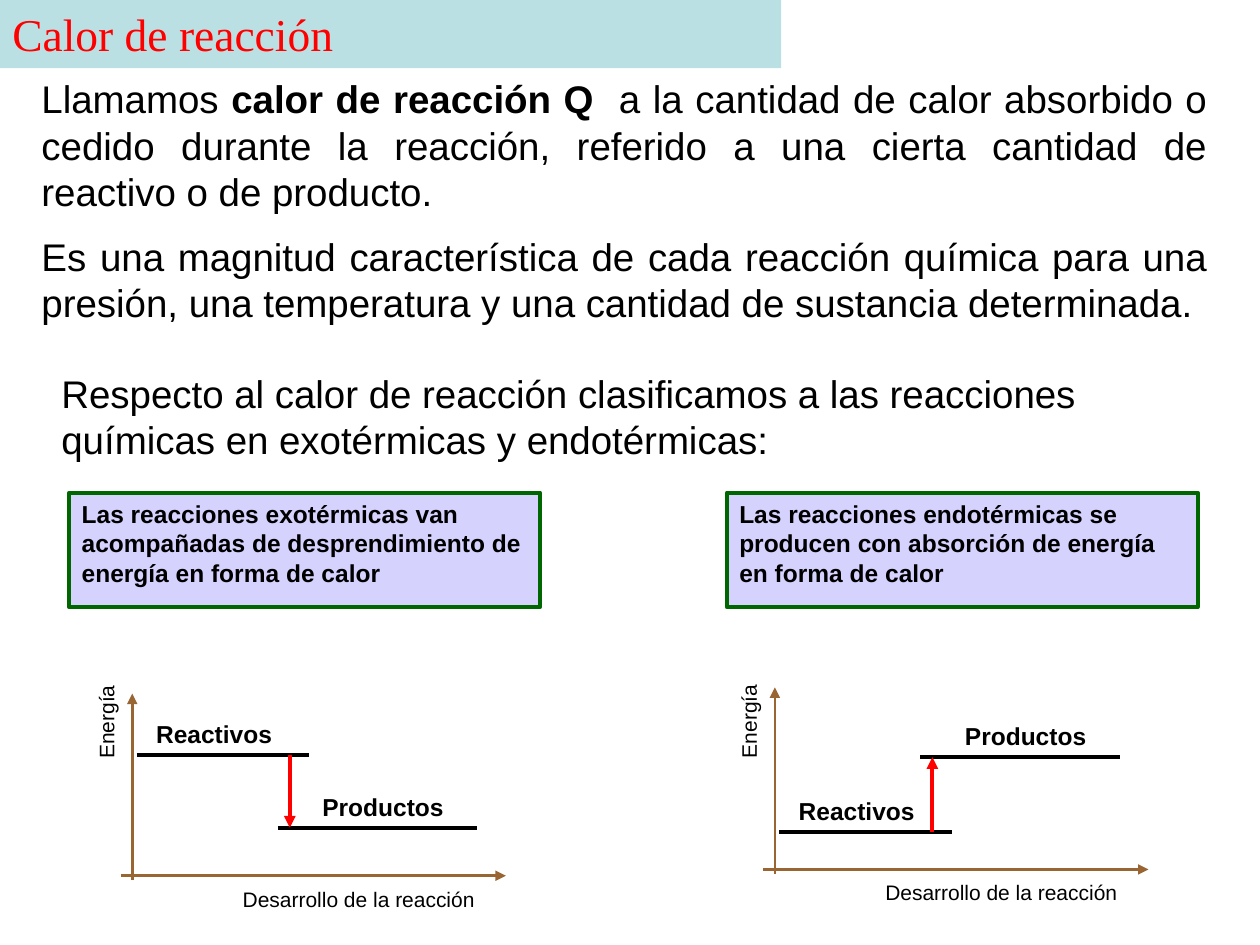
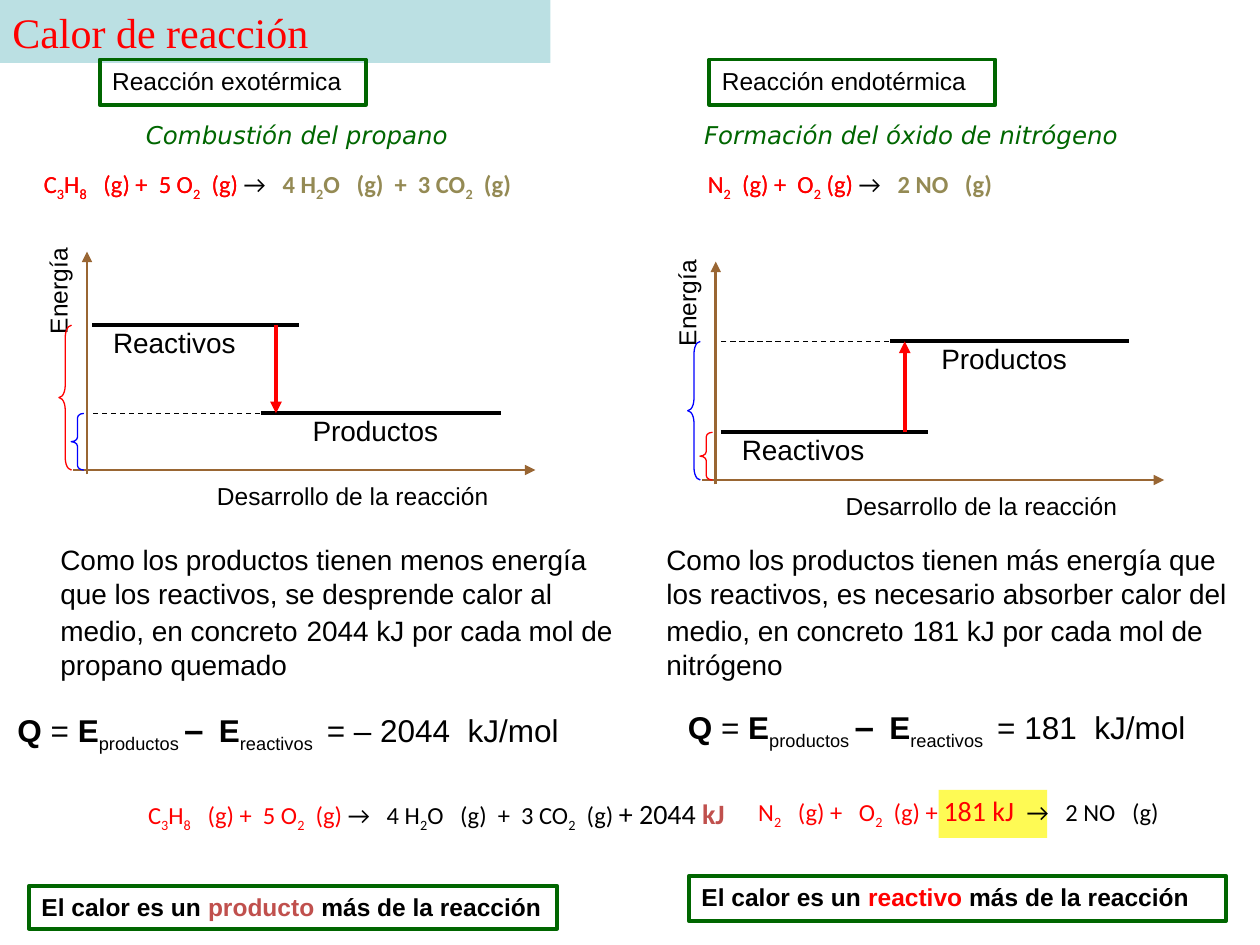
from dataclasses import dataclass
from typing import NamedTuple

import lxml.etree
import pptx
import pptx.dml.color
import pptx.enum.dml
import pptx.enum.shapes
import pptx.enum.text
import pptx.oxml.ns
import pptx.util

Pt = pptx.util.Pt
ALIGN = pptx.enum.text.PP_ALIGN
SHAPE = pptx.enum.shapes.MSO_SHAPE

BLACK, RED, BLUE, GREEN = "000000", "FF0000", "0000FF", "006600"
BAND, AXIS, LILAC, YELLOW = "BBE0E3", "996633", "D5D2FE", "FEFA54"
OLIVE, BRICK = "948A54", "C0504D"


class Box(NamedTuple):
    x: float
    y: float
    w: float
    h: float


class Run(NamedTuple):
    """Text with its subscripts in square brackets; None keeps the paragraph's font."""
    text: str
    color: str | None = None
    bold: bool | None = None
    size: float | None = None


@dataclass(frozen=True)
class Style:
    size: float
    font: str = "Arial"
    color: str = BLACK
    bold: bool = False
    italic: bool = False
    align: ALIGN = ALIGN.LEFT


@dataclass(frozen=True)
class DiagramStyle:
    scale: float
    level: Style
    axis: Style
    label_dy: float


@dataclass(frozen=True)
class Diagram:
    """Energy diagram: x, y is the crossing of the axes."""
    x: float
    y: float
    reactants_y: float
    products_y: float
    energy_bottom: float


@dataclass(frozen=True)
class Reaction:
    kind: str
    kind_box: Box
    name: str
    name_x: float
    reactants: str
    products: str
    reaction_x: float
    diagram: Diagram
    reactants_color: str
    explanation: tuple[str, str]
    explanation_x: float
    heat: str
    heat_at: tuple[float, float]
    balance: list[Run]
    balance_box: Box
    balance_align: ALIGN
    conclusion: Run
    conclusion_box: Box


def rgb(color: str) -> pptx.dml.color.RGBColor:
    return pptx.dml.color.RGBColor.from_string(color)


def add_line(slide, x1: float, y1: float, x2: float, y2: float, color: str,
             width: float, arrow: bool = False, dashed: bool = False) -> None:
    c = slide.shapes.add_connector(pptx.enum.shapes.MSO_CONNECTOR.STRAIGHT,
                                   Pt(x1), Pt(y1), Pt(x2), Pt(y2))
    c.line.color.rgb = rgb(color)
    c.line.width = Pt(width)
    if dashed:
        c.line.dash_style = pptx.enum.dml.MSO_LINE.DASH
    qn = pptx.oxml.ns.qn
    if arrow:
        lxml.etree.SubElement(c.line._get_or_add_ln(), qn("a:tailEnd"), type="triangle")
    lxml.etree.SubElement(c._element.spPr, qn("a:effectLst"))


def add_shape(slide, kind: SHAPE, box: Box, fill: str | None = None,
              line: str | None = None, width: float = 2.25):
    sp = slide.shapes.add_shape(kind, *map(Pt, box))
    sp.shadow.inherit = False
    if fill:
        sp.fill.solid()
        sp.fill.fore_color.rgb = rgb(fill)
    else:
        sp.fill.background()
    if line:
        sp.line.color.rgb = rgb(line)
        sp.line.width = Pt(width)
    else:
        sp.line.fill.background()
    return sp


def write(sp, style: Style, *paragraphs: list[Run], gap: float = 0) -> None:
    tf = sp.text_frame
    tf.word_wrap = True
    tf.vertical_anchor = pptx.enum.text.MSO_ANCHOR.TOP
    for i, runs in enumerate(paragraphs):
        p = tf.add_paragraph() if i else tf.paragraphs[0]
        p.alignment = style.align
        if i:
            p.space_before = Pt(gap)
        p.font.name, p.font.size = style.font, Pt(style.size)
        p.font.bold, p.font.italic = style.bold, style.italic
        p.font.color.rgb = rgb(style.color)
        for run in runs:
            for j, part in enumerate(run.text.replace("]", "[").split("[")):
                if part:
                    add_run(p, run._replace(text=part), style, subscript=j % 2 == 1)


def add_run(p, run: Run, style: Style, subscript: bool) -> None:
    r = p.add_run()
    r.text = run.text
    r.font.color.rgb = rgb(run.color or style.color)
    if run.bold is not None:
        r.font.bold = run.bold
    if run.size:
        r.font.size = Pt(run.size)
    if subscript:
        r._r.get_or_add_rPr().set("baseline", "-25000")


def add_text(slide, box: Box, style: Style, *paragraphs: list[Run], gap: float = 0):
    sp = slide.shapes.add_textbox(*map(Pt, box))
    write(sp, style, *paragraphs, gap=gap)
    return sp


def add_framed(slide, box: Box, style: Style, runs: list[Run], fill: str | None = None) -> None:
    write(add_shape(slide, SHAPE.RECTANGLE, box, fill, GREEN), style, runs)


def add_title(slide, width: float, height: float, size: float) -> None:
    sp = add_shape(slide, SHAPE.RECTANGLE, Box(0, 0, width, height), BAND)
    write(sp, Style(size, "Times New Roman", RED), [Run("Calor de reacción")])


def add_diagram(slide, d: Diagram, style: DiagramStyle) -> None:
    def at(dx: float) -> float:
        return d.x + dx * style.scale

    add_line(slide, d.x, d.y + 2.5, d.x, d.y - 104 * style.scale, AXIS, 1.5, arrow=True)
    add_line(slide, at(-6.5), d.y, at(213.5), d.y, AXIS, 1.5, arrow=True)
    levels = (("Reactivos", d.reactants_y, 2.5, 101, 6.5),
              ("Productos", d.products_y, 83, 197, 101.5))
    for name, y, left, right, label_dx in levels:
        add_line(slide, at(left), y, at(right), y, BLACK, 2.25)
        add_text(slide, Box(at(label_dx), y + style.label_dy, 104, 27), style.level, [Run(name)])
    add_line(slide, at(90), d.reactants_y, at(90), d.products_y, RED, 2.25, arrow=True)
    add_text(slide, Box(at(56), d.y + 2.5, 194, 24), style.axis, [Run("Desarrollo de la reacción")])
    w, h = 80, 23
    centre_x, centre_y = at(-14.3), d.energy_bottom - w / 2
    sp = add_text(slide, Box(centre_x - w / 2, centre_y - h / 2, w, h), style.axis, [Run("Energía")])
    sp.rotation = 270


def add_energy_braces(slide, d: Diagram, reactants_color: str, products_color: str) -> None:
    """Mark both energies from the x axis, the larger one outside."""
    add_line(slide, d.x + 99, d.products_y, d.x + 3, d.products_y, BLACK, 0.75, dashed=True)
    spans = sorted([(d.y - d.reactants_y, reactants_color), (d.y - d.products_y, products_color)])
    for (h, color), dx, curve in zip(spans, (-9, -16), (0.36, 0.97)):
        sp = add_shape(slide, SHAPE.LEFT_BRACE, Box(d.x + dx, d.y - h, 7.2, h), None, color, 0.75)
        sp.adjustments[0] = curve


def add_reaction(slide, rx: Reaction, style: DiagramStyle) -> None:
    add_diagram(slide, rx.diagram, style)
    other = BLUE if rx.reactants_color == RED else RED
    add_energy_braces(slide, rx.diagram, rx.reactants_color, other)
    add_framed(slide, rx.kind_box, Style(14), [Run(rx.kind)])
    add_text(slide, Box(rx.name_x, 65, 272, 24),
             Style(14, "DejaVu Sans", GREEN, italic=True), [Run(rx.name)])
    reactants = Run(rx.reactants, RED)
    equation = [reactants, Run(" →  "), Run(rx.products, OLIVE, True)]
    for runs in (equation, [reactants]):
        add_text(slide, Box(rx.reaction_x, 93, 353 if rx.reaction_x < 300 else 300, 24),
                 Style(14, "Calibri"), runs)
    before, after = rx.explanation
    add_text(slide, Box(rx.explanation_x, 306.7, 337, 86), Style(16),
             [Run(before), Run(" ", size=18), Run(after)])
    add_text(slide, Box(*rx.heat_at, 330, 31), Style(18),
             [Run("Q ", bold=True), Run("= "), Run("E", bold=True), Run("[productos ]"),
              Run("–", bold=True, size=20), Run("[   ]"), Run("E", bold=True),
              Run(f"[reactivos ] = {rx.heat}  kJ/mol")])
    add_text(slide, rx.balance_box, Style(14, "Calibri", align=rx.balance_align), rx.balance)
    add_framed(slide, rx.conclusion_box, Style(14, bold=True),
               [Run("El calor es un "), rx.conclusion, Run(" más de la reacción")])


EXOTHERMIC = Reaction(
    "Reacción exotérmica", Box(57, 34, 152, 26), "Combustión del propano", 76.3,
    "C[3]H[8]   (g) +  5 O[2]  (g)", " 4 H[2]O   (g)  +  3 CO[2]  (g)", 18,
    Diagram(49.7, 268.6, 185.8, 236.2, 198), RED,
    ("Como los productos tienen menos energía que los reactivos, se desprende calor al medio, "
     "en concreto", "2044 kJ por cada mol de propano quemado"), 27.4,
    "– 2044", (2.9, 401),
    [Run("C[3]H[8]   (g) +  5 O[2]  (g) ", RED), Run("→   4 H[2]O   (g)  +  3 CO[2]  (g) "),
     Run("+ 2044 ", size=16), Run("kJ", BRICK, True, 16)],
    Box(0, 451.4, 421.2, 27), ALIGN.RIGHT,
    Run("producto", BRICK), Box(16.6, 506.2, 301.7, 24.5))

ENDOTHERMIC = Reaction(
    "Reacción endotérmica", Box(405.4, 34, 163.4, 26), "Formación del óxido de nitrógeno", 395.3,
    "N[2]  (g) +  O[2] (g)", " 2 NO   (g)", 397.4,
    Diagram(409, 274.3, 247, 195.1, 204.8), RED,
    ("Como los productos tienen más energía que los reactivos, es necesario absorber calor del "
     "medio, en concreto", "181 kJ por cada mol de nitrógeno"), 373.7,
    "181", (386, 399),
    [Run("N[2]   (g) +   O[2]  (g) + ", RED), Run("181 kJ  ", RED, size=16),
     Run("→   2 NO   (g)")],
    Box(426.2, 450, 290, 27), ALIGN.LEFT,
    Run("reactivo", RED), Box(393.8, 500.4, 306.7, 26))


def build_definition(slide) -> None:
    add_title(slide, 446.4, 39, 26)
    body = Style(22)
    add_text(slide, Box(16.6, 39.6, 680.4, 100), Style(22, align=ALIGN.JUSTIFY),
             [Run("Llamamos "), Run("calor de reacción Q", bold=True),
              Run("  a la cantidad de calor absorbido o cedido durante la reacción, referido a "
                  "una cierta cantidad de reactivo o de producto.")],
             [Run("Es una magnitud característica de cada reacción química para una presión, "
                  "una temperatura y una cantidad de sustancia determinada.")], gap=11)
    add_text(slide, Box(28, 208, 652, 60), body,
             [Run("Respecto al calor de reacción clasificamos a las reacciones químicas en "
                  "exotérmicas y endotérmicas:")])
    style = DiagramStyle(1, Style(14, bold=True), Style(12), -24)
    sides = (
        (39.6, "Las reacciones exotérmicas van acompañadas de desprendimiento de energía en "
               "forma de calor", Diagram(75.6, 500.4, 431.3, 473, 440.7)),
        (415.4, "Las reacciones endotérmicas se producen con absorción de energía en forma de "
                "calor", Diagram(442.8, 496.8, 475.2, 432.7, 440.3)),
    )
    for x, text, diagram in sides:
        add_framed(slide, Box(x, 281.5, 269, 65.5), Style(14, bold=True), [Run(text)], LILAC)
        add_diagram(slide, diagram, style)


def build_examples(slide) -> None:
    add_title(slide, 314.6, 36, 24)
    add_shape(slide, SHAPE.RECTANGLE, Box(536.4, 451.4, 62, 27.4), YELLOW)
    style = DiagramStyle(1.2, Style(16), Style(14), -3.6)
    for reaction in (EXOTHERMIC, ENDOTHERMIC):
        add_reaction(slide, reaction, style)


def main() -> None:
    prs = pptx.Presentation()
    prs.slide_width, prs.slide_height = Pt(720), Pt(540)
    for build in (build_definition, build_examples):
        build(prs.slides.add_slide(prs.slide_layouts[6]))
    prs.save("out.pptx")


if __name__ == "__main__":
    main()
